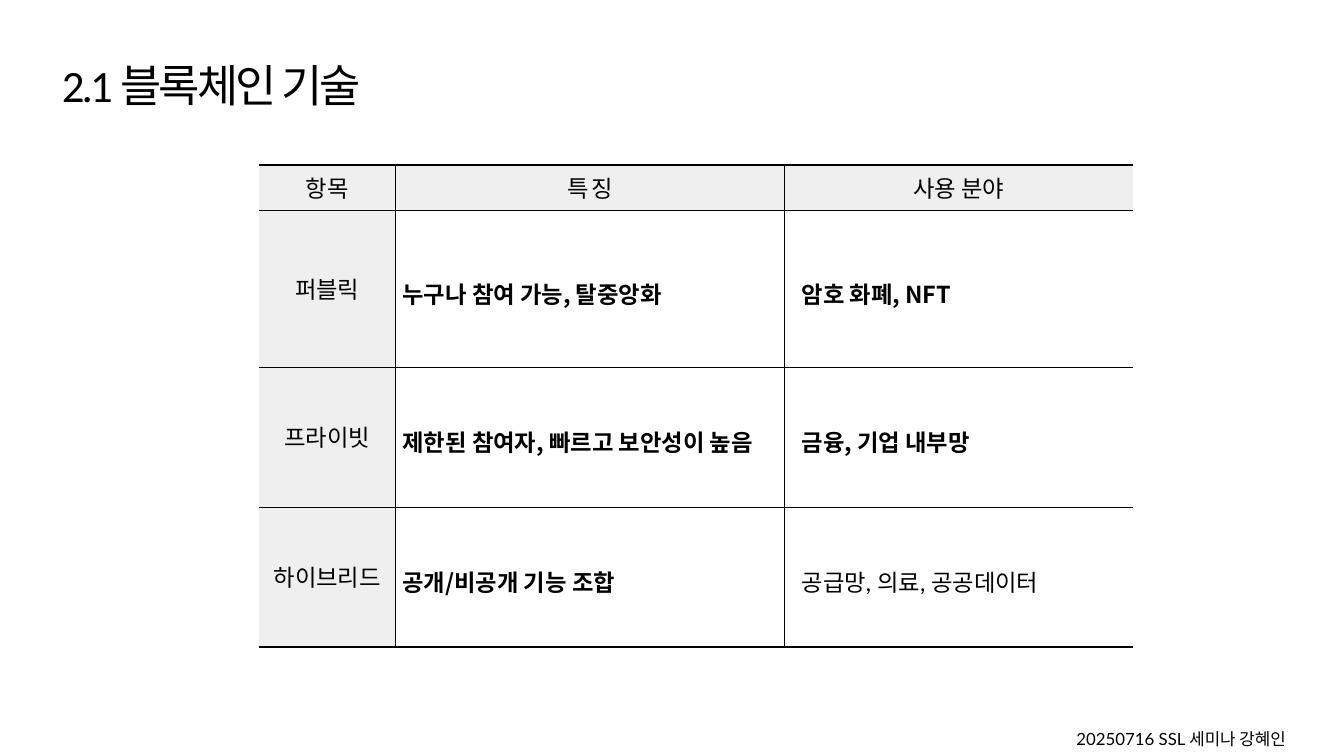
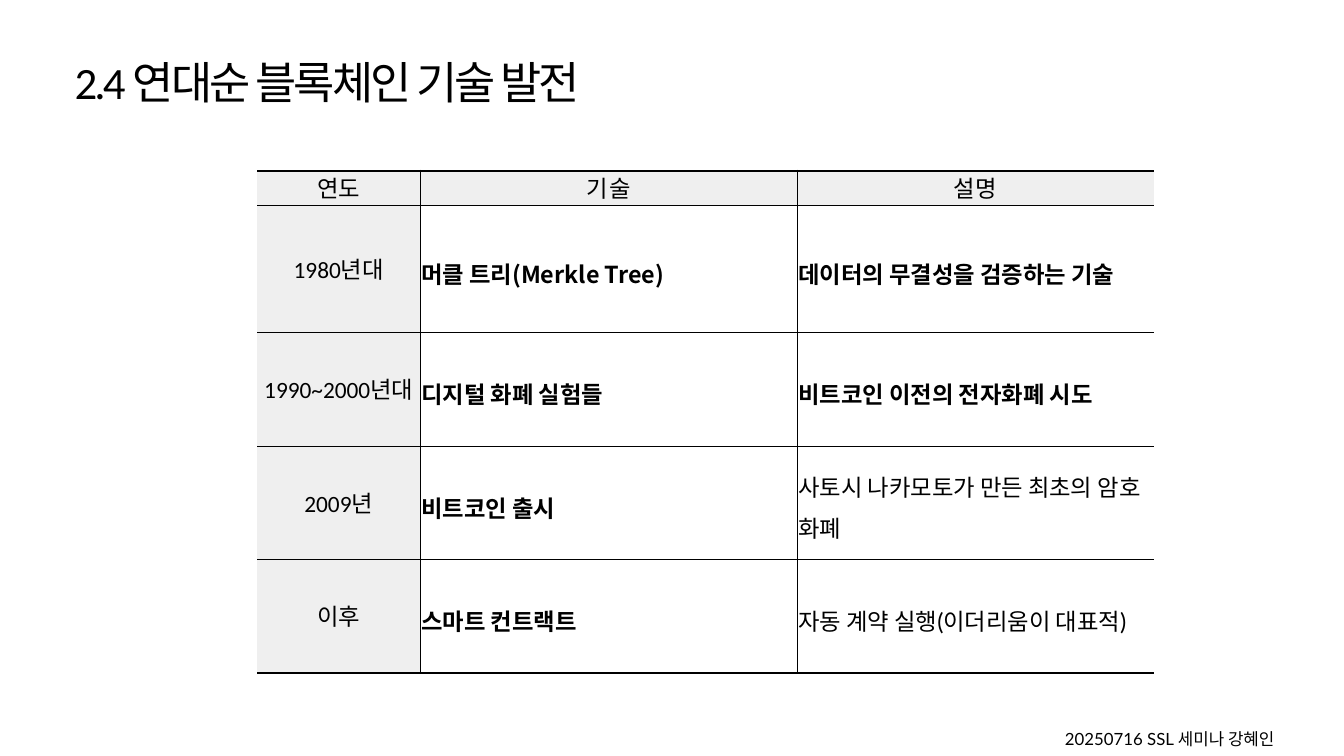
"""Builds two seminar slides, each a titled comparison table on blockchain."""
import pptx
import pptx.util
import pptx.dml.color
import pptx.enum.text
import pptx.oxml.ns
import lxml.etree

Inches, Pt = pptx.util.Inches, pptx.util.Pt
PP_ALIGN, ANCHOR = pptx.enum.text.PP_ALIGN, pptx.enum.text.MSO_ANCHOR
BLACK = pptx.dml.color.RGBColor(0x00, 0x00, 0x00)
LABEL_GREY = pptx.dml.color.RGBColor(0xEF, 0xEF, 0xEF)
HEADING_FONT, STRONG_FONT, BODY_FONT = "Calibri", "Noto Sans CJK KR", "Lato"
THIN, THICK = 1, 2.5
PADDING = 0.02
HEADER_SPACING = (0, 2, 0)
FOOTER = "20250716 SSL 세미나 강혜인"

SLIDES = [
    {
        "title": "2.1 블록체인 기술",
        "title_box": (0.92, 0.58, 4.83, 1.36),
        "footer_left": 15.92,
        "table_at": (3.85, 2.46),
        "columns": (2.04, 5.79, 5.18),
        "heights": (0.67, 2.34, 2.08, 2.08),
        "indents": (PADDING, 0.1, 0.25),
        "rows": [
            ("항목", "특징", "사용 분야"),
            ("퍼블릭", "누구나 참여 가능, 탈중앙화", "암호 화폐, NFT"),
            ("프라이빗", "제한된 참여자, 빠르고 보안성이 높음", "금융, 기업 내부망"),
            ("하이브리드", "공개/비공개 기능 조합", "공급망, 의료, 공공데이터"),
        ],
        "plain_uses": (3,),
    },
    {
        "title": "2.4 연대순 블록체인 기술 발전",
        "title_box": (1.11, 0.54, 8.23, 1.36),
        "footer_left": 15.75,
        "table_at": (3.83, 2.54),
        "columns": (2.42, 5.61, 5.31),
        "heights": (0.52, 1.89, 1.69, 1.69, 1.69),
        "indents": (PADDING, PADDING, PADDING),
        "rows": [
            ("연도", "기술", "설명"),
            ("1980년대", "머클 트리(Merkle Tree)", "데이터의 무결성을 검증하는 기술"),
            ("1990~2000년대", "디지털 화폐 실험들", "비트코인 이전의 전자화폐 시도"),
            ("2009년", "비트코인 출시", "사토시 나카모토가 만든 최초의 암호 화폐"),
            ("이후", "스마트 컨트랙트", "자동 계약 실행(이더리움이 대표적)"),
        ],
        "plain_uses": (3, 4),
    },
]


def add_xml(parent, tag, **attributes):
    return lxml.etree.SubElement(parent, pptx.oxml.ns.qn(tag), **attributes)


def write(frame, text, size, font, bold=False, spacing=0, line_spacing=None):
    frame.text = text
    paragraph = frame.paragraphs[0]
    if line_spacing:
        paragraph.line_spacing = line_spacing
    run = paragraph.runs[0]
    run.font.size, run.font.bold, run.font.name = Pt(size), bold, font
    run.font.color.rgb = BLACK
    properties = run.font._element
    add_xml(properties, "a:ea", typeface=STRONG_FONT)
    if spacing:
        properties.set("spc", str(spacing * 100))
    return paragraph


def add_text(slide, box, text, size, font, **style):
    frame = slide.shapes.add_textbox(*map(Inches, box)).text_frame
    frame.word_wrap = True
    write(frame, text, size, font, **style)
    return frame


def set_borders(cell, widths):
    properties = cell._tc.get_or_add_tcPr()
    for side, width in zip("LRTB", widths):
        line = add_xml(properties, f"a:ln{side}", w=str(int(Pt(width))))
        if width:
            fill = add_xml(line, "a:solidFill")
            add_xml(fill, "a:srgbClr", val=str(BLACK))
        else:
            add_xml(line, "a:noFill")


def format_cell(cell, text, row, column, content):
    last_row, last_column = len(content["rows"]) - 1, len(content["columns"]) - 1
    is_label = row == 0 or column == 0
    cell.vertical_anchor = ANCHOR.MIDDLE
    cell.margin_top = cell.margin_bottom = cell.margin_right = Inches(PADDING)
    cell.margin_left = Inches(PADDING if is_label else content["indents"][column])
    set_borders(cell, (
        THIN if column else 0,
        THIN if column < last_column else 0,
        THIN if row else THICK,
        THIN if row < last_row else THICK,
    ))
    if is_label:
        cell.fill.solid()
        cell.fill.fore_color.rgb = LABEL_GREY
        spacing = HEADER_SPACING[column] if row == 0 else 0
        paragraph = write(cell.text_frame, text, 25, HEADING_FONT,
                          spacing=spacing, line_spacing=0.92)
        paragraph.alignment = PP_ALIGN.CENTER
    else:
        cell.fill.background()
        strong = column < last_column or row not in content["plain_uses"]
        write(cell.text_frame, text, 25, STRONG_FONT if strong else BODY_FONT,
              bold=strong, line_spacing=1.24)


def add_comparison(slide, content):
    columns, heights = content["columns"], content["heights"]
    box = (*content["table_at"], sum(columns), sum(heights))
    table = slide.shapes.add_table(len(heights), len(columns), *map(Inches, box)).table
    table.first_row = table.horz_banding = False
    for column, width in zip(table.columns, columns):
        column.width = Inches(width)
    for row, height in zip(table.rows, heights):
        row.height = Inches(height)
    for r, texts in enumerate(content["rows"]):
        for c, text in enumerate(texts):
            format_cell(table.cell(r, c), text, r, c, content)


def build_slide(deck, content):
    slide = deck.slides.add_slide(deck.slide_layouts[6])
    title = add_text(slide, content["title_box"], content["title"], 48,
                     HEADING_FONT, spacing=-3, line_spacing=1.0)
    title.vertical_anchor = ANCHOR.MIDDLE
    title.margin_left = title.margin_right = title.margin_top = title.margin_bottom = 0
    add_comparison(slide, content)
    add_text(slide, (content["footer_left"], 10.79, 3.83, 0.42), FOOTER, 18, BODY_FONT)


def main():
    deck = pptx.Presentation()
    deck.slide_width, deck.slide_height = Inches(20), Inches(11.25)
    for content in SLIDES:
        build_slide(deck, content)
    deck.save("out.pptx")


if __name__ == "__main__":
    main()
